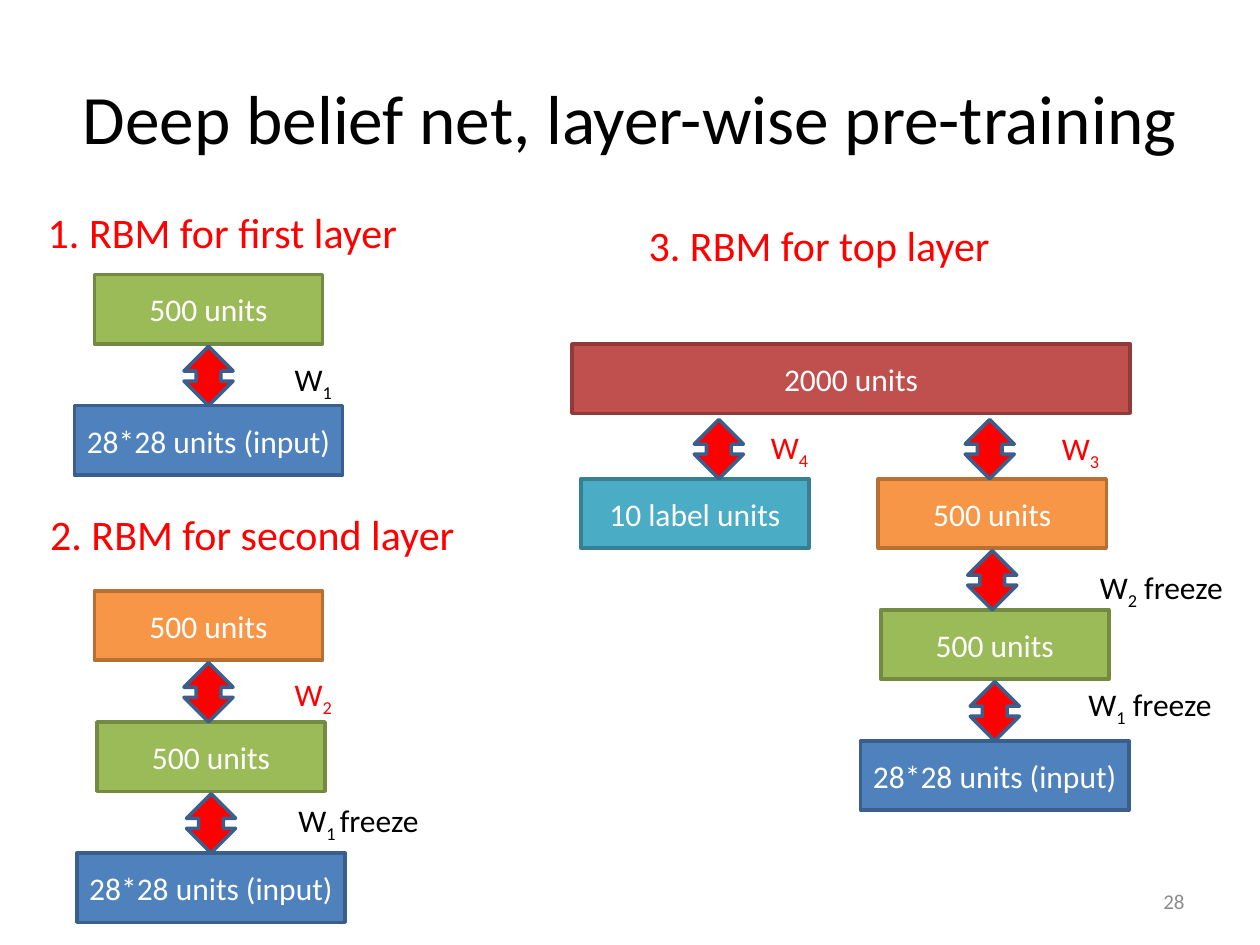
from dataclasses import dataclass

import pptx
import pptx.dml.color
import pptx.enum.shapes
import pptx.enum.text
import pptx.util

ALIGN = pptx.enum.text.PP_ALIGN
ANCHOR = pptx.enum.text.MSO_ANCHOR
SHAPE = pptx.enum.shapes.MSO_SHAPE


@dataclass(frozen=True)
class Theme:
    font: str = "Calibri"
    black: str = "000000"
    white: str = "FFFFFF"
    red: str = "FF0000"
    gray: str = "8C8C8C"
    # Fill and outline pairs
    green: tuple[str, str] = ("9BBB59", "738A42")
    blue: tuple[str, str] = ("4F81BD", "3A5F8C")
    orange: tuple[str, str] = ("F79646", "B76F34")
    teal: tuple[str, str] = ("4BACC6", "377F92")
    crimson: tuple[str, str] = ("C0504D", "8E3B39")
    arrow: tuple[str, str] = ("FF0000", "3A5F8C")
    title_size: float = 39.6
    heading_size: float = 24
    body_size: float = 18
    number_size: float = 12
    outline: float = 2


@dataclass(frozen=True)
class Layer:
    text: str
    colors: tuple[str, str]
    center: float
    width: float = 18.1


@dataclass(frozen=True)
class Stack:
    top: float
    layers: tuple[Layer, ...]


@dataclass(frozen=True)
class Run:
    text: str
    subscript: bool = False


@dataclass(frozen=True)
class Label:
    runs: tuple[Run, ...]
    left: float
    top: float
    width: float
    color: str
    size: float
    height: float = 4


THEME = Theme()

# Grid of 100 columns by 75 rows; all lengths below count these cells
SLIDE_WIDTH = pptx.util.Inches(10)
SLIDE_HEIGHT = pptx.util.Inches(7.5)
COLUMN = SLIDE_WIDTH / 100
ROW = SLIDE_HEIGHT / 75
LAYER_HEIGHT = 5.5
LAYER_PITCH = 10.4
ARROW_WIDTH, ARROW_HEIGHT = 3.9, 4.7


def place(left: float, top: float, width: float, height: float) -> tuple[int, ...]:
    return (round(left * COLUMN), round(top * ROW),
            round(width * COLUMN), round(height * ROW))


def write(shape, runs: tuple[Run, ...], size: float, color: str,
          align=ALIGN.LEFT, anchor=ANCHOR.TOP) -> None:
    frame = shape.text_frame
    frame.word_wrap = True
    frame.vertical_anchor = anchor
    paragraph = frame.paragraphs[0]
    paragraph.alignment = align
    for part in runs:
        run = paragraph.add_run()
        run.text = part.text
        run.font.name = THEME.font
        run.font.size = pptx.util.Pt(size)
        run.font.color.rgb = pptx.dml.color.RGBColor.from_string(color)
        if part.subscript:
            run._r.get_or_add_rPr().set("baseline", "-25000")


def add_filled(slide, kind, cells: tuple[float, ...], colors: tuple[str, str]):
    shape = slide.shapes.add_shape(kind, *place(*cells))
    shape.shadow.inherit = False
    shape.fill.solid()
    fill, outline = (pptx.dml.color.RGBColor.from_string(c) for c in colors)
    shape.fill.fore_color.rgb = fill
    shape.line.color.rgb = outline
    shape.line.width = pptx.util.Pt(THEME.outline)
    return shape


def add_layer(slide, layer: Layer, top: float) -> None:
    cells = (layer.center - layer.width / 2, top, layer.width, LAYER_HEIGHT)
    shape = add_filled(slide, SHAPE.FLOWCHART_PROCESS, cells, layer.colors)
    write(shape, (Run(layer.text),), THEME.body_size, THEME.white,
          ALIGN.CENTER, ANCHOR.MIDDLE)


def add_arrow(slide, center: float, bottom: float) -> None:
    cells = (center - ARROW_WIDTH / 2, bottom - ARROW_HEIGHT, ARROW_WIDTH, ARROW_HEIGHT)
    add_filled(slide, SHAPE.UP_DOWN_ARROW, cells, THEME.arrow)


def add_stack(slide, stack: Stack) -> None:
    """Draw layers downward, with an arrow resting on each lower one."""
    for index, layer in enumerate(stack.layers):
        top = stack.top + index * LAYER_PITCH
        add_layer(slide, layer, top)
        if index:
            add_arrow(slide, stack.layers[index - 1].center, top)


def add_label(slide, label: Label, align=ALIGN.LEFT, anchor=ANCHOR.TOP) -> None:
    cells = (label.left, label.top, label.width, label.height)
    box = slide.shapes.add_textbox(*place(*cells))
    write(box, label.runs, label.size, label.color, align, anchor)


def heading(text: str, left: float, top: float, width: float = 38.4) -> Label:
    return Label((Run(text),), left, top, width, THEME.red, THEME.heading_size, 5)


def weight(index: str, left: float, top: float, color: str, suffix: str = "") -> Label:
    runs = (Run("W"), Run(index, subscript=True)) + ((Run(suffix),) if suffix else ())
    return Label(runs, left, top, 13.5 if suffix else 9.4, color, THEME.body_size)


def hidden_layer(colors: tuple[str, str], center: float) -> Layer:
    return Layer("500 units", colors, center)


def input_layer(center: float) -> Layer:
    return Layer("28*28 units (input)", THEME.blue, center, 21.3)


STACKS = (
    Stack(21.8, (hidden_layer(THEME.green, 16.55), input_layer(16.55))),
    Stack(46.9, (hidden_layer(THEME.orange, 16.55), hidden_layer(THEME.green, 16.75),
                 input_layer(16.75))),
    Stack(38, (hidden_layer(THEME.orange, 78.75), hidden_layer(THEME.green, 78.95),
               input_layer(78.95))),
    Stack(38, (Layer("10 label units", THEME.teal, 55.15),)),
    Stack(27.3, (Layer("2000 units", THEME.crimson, 67.55, 44.3),)),
)
TOP_ARROW_CENTERS = (57.05, 78.55)
LABELS = (
    heading("1. RBM for first layer", 2.8, 15.9, 31.5),
    heading("2. RBM for second layer", 3, 39.9),
    heading("3. RBM for top layer", 50.5, 16.9),
    weight("1", 22.4, 28.1, THEME.black),
    weight("2", 22.4, 53.1, THEME.red),
    weight("1 ", 22.7, 63.1, THEME.black, "freeze"),
    weight("4", 60.2, 33.5, THEME.red),
    weight("3", 83.3, 33.6, THEME.red),
    weight("2", 86.3, 44.6, THEME.black, " freeze"),
    weight("1", 85.4, 53.9, THEME.black, " freeze"),
)
TITLE = Label((Run("Deep belief net, layer-wise pre-training"),),
              5, 3, 90, THEME.black, THEME.title_size, 12.5)
SLIDE_NUMBER = Label((Run("28"),), 71.7, 69.5, 23.3, THEME.gray, THEME.number_size)


def main() -> None:
    presentation = pptx.Presentation()
    presentation.slide_width = SLIDE_WIDTH
    presentation.slide_height = SLIDE_HEIGHT
    slide = presentation.slides.add_slide(presentation.slide_layouts[6])

    # Title and slide number
    add_label(slide, TITLE, ALIGN.CENTER, ANCHOR.MIDDLE)
    add_label(slide, SLIDE_NUMBER, ALIGN.RIGHT, ANCHOR.MIDDLE)

    # Networks of the three training steps
    for stack in STACKS:
        add_stack(slide, stack)
    for center in TOP_ARROW_CENTERS:
        add_arrow(slide, center, 38)

    # Step headings and weight names
    for label in LABELS:
        add_label(slide, label)

    presentation.save("out.pptx")


if __name__ == "__main__":
    main()
